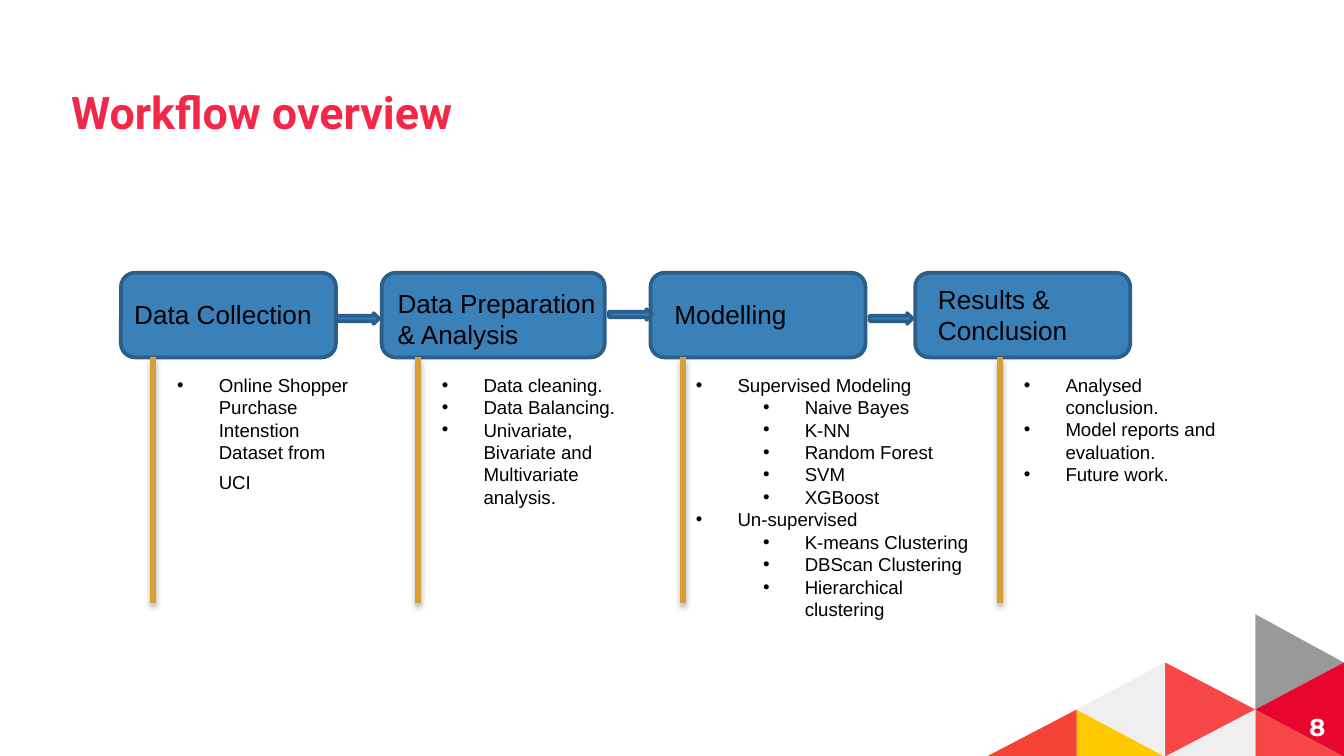
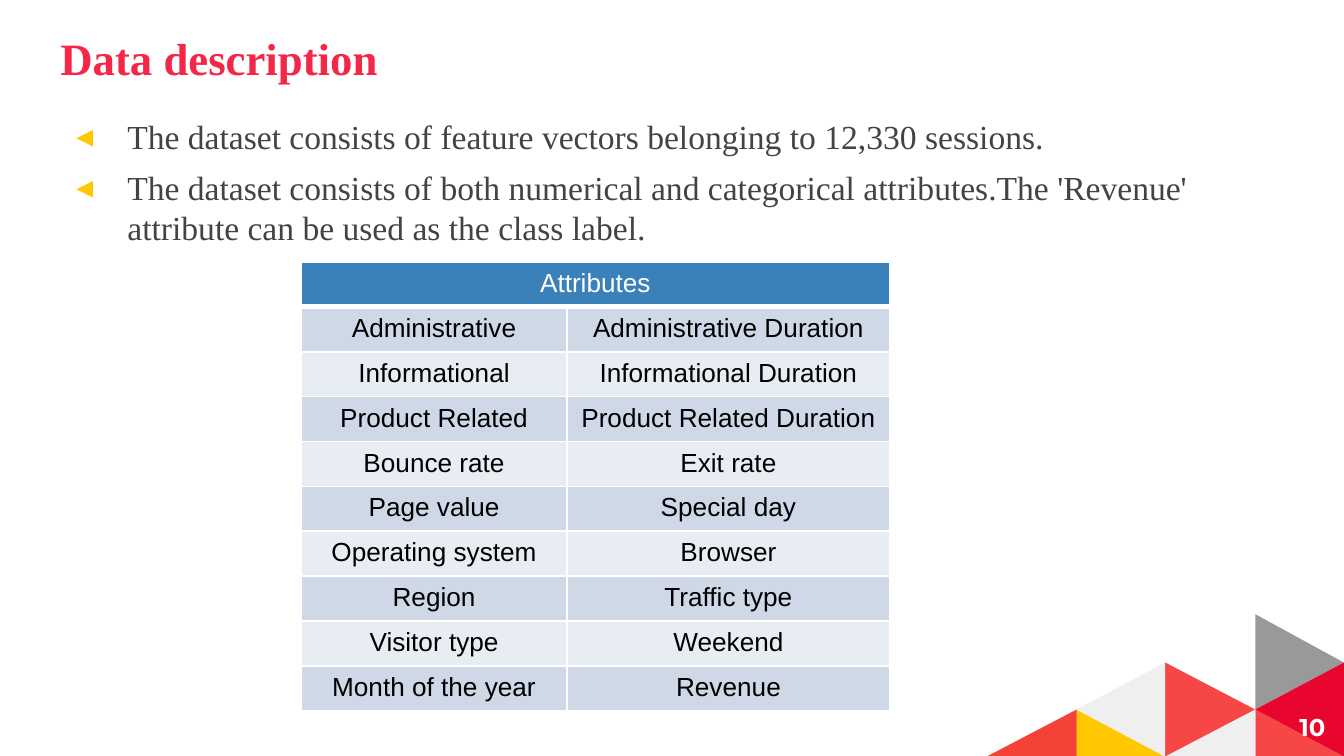
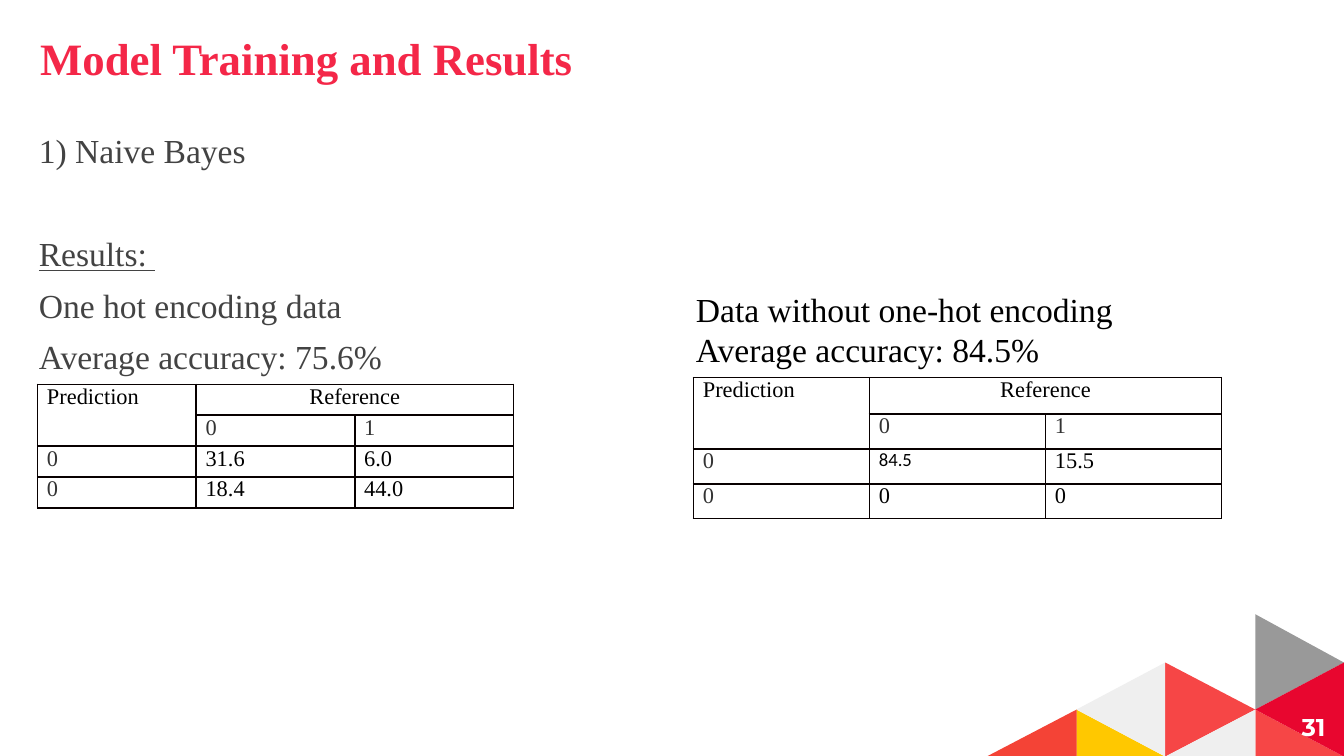
import lxml.etree
import pptx
import pptx.dml.color
import pptx.enum.shapes
import pptx.enum.text
import pptx.oxml.ns
import pptx.util

Inches = pptx.util.Inches
Pt = pptx.util.Pt
RGBColor = pptx.dml.color.RGBColor
SHAPE = pptx.enum.shapes.MSO_SHAPE
ALIGN = pptx.enum.text.PP_ALIGN
qn = pptx.oxml.ns.qn

WHITE = RGBColor(0xFF, 0xFF, 0xFF)
BLACK = RGBColor(0, 0, 0)
INK = RGBColor(0x43, 0x43, 0x43)
LABEL_INK = RGBColor(0x33, 0x33, 0x33)
RULE_INK = RGBColor(0x08, 0, 0)
TITLE_RED = RGBColor(0xF4, 0x27, 0x48)
BLUE = RGBColor(0x3A, 0x81, 0xBA)
DARK_BLUE = RGBColor(0x2B, 0x5F, 0x8A)
OCHRE = RGBColor(0xD8, 0x9F, 0x39)
YELLOW = RGBColor(0xFF, 0xC8, 0x00)
GREY = RGBColor(0x99, 0x99, 0x99)
PALE_GREY = RGBColor(0xEF, 0xEF, 0xEF)
CORAL = RGBColor(0xF6, 0x46, 0x46)
CRIMSON = RGBColor(0xE8, 0x06, 0x2F)
ORANGE_RED = RGBColor(0xF4, 0x43, 0x36)
BAND_DARK = RGBColor(0xCE, 0xD8, 0xE7)
BAND_LIGHT = RGBColor(0xE8, 0xED, 0xF3)

SANS, SERIF = "Arial", "Times New Roman"

MOSAIC_X = (7.34, 8.01, 8.67, 9.34, 10)
MOSAIC_Y = (4.57, 4.93, 5.28, 5.63)
MOSAIC = (
    (GREY, (3, 0), (3, 2), (4, 1)),
    (YELLOW, (1, 2), (1, 3), (2, 3)),
    (CORAL, (2, 1), (2, 3), (3, 2)),
    (CORAL, (3, 2), (3, 3), (4, 3)),
    (PALE_GREY, (2, 1), (1, 2), (2, 3)),
    (PALE_GREY, (3, 2), (2, 3), (3, 3)),
    (CRIMSON, (4, 1), (3, 2), (4, 3)),
    (ORANGE_RED, (1, 2), (0, 3), (1, 3)),
)

STAGES = (
    dict(
        card=(0.9, 1.6), label=(0.9, 2.17, 1.67, 0.34), title="Data Collection",
        rule=1.14, notes=(1.22, 1.52, 1.01),
        items=[(0, "Online Shopper Purchase Intenstion \nDataset from UCI")],
    ),
    dict(
        card=(2.84, 1.66), label=(2.86, 2.09, 1.77, 0.57), title="Data Preparation & Analysis",
        rule=3.11, notes=(3.19, 1.73, 1.28),
        items=[
            (0, "Data cleaning."),
            (0, "Data Balancing."),
            (0, "Univariate, Bivariate and Multivariate analysis."),
        ],
    ),
    dict(
        card=(4.84, 1.6), label=(4.92, 2.17, 1.67, 0.34), title="Modelling",
        rule=5.08, notes=(5.08, 2.34, 2.12),
        items=[
            (0, "Supervised Modeling"),
            (1, "Naive Bayes"),
            (1, "K-NN"),
            (1, "Random Forest"),
            (1, "SVM"),
            (1, "XGBoost"),
            (0, "Un-supervised"),
            (1, "K-means Clustering"),
            (1, "DBScan Clustering"),
            (1, "Hierarchical clustering"),
        ],
    ),
    dict(
        card=(6.81, 1.6), label=(6.88, 2.06, 1.45, 0.57), title="Results & Conclusion",
        rule=7.44, notes=(7.52, 1.76, 0.94),
        items=[
            (0, "Analysed conclusion."),
            (0, "Model reports and evaluation."),
            (0, "Future work."),
        ],
    ),
)
STAGE_ARROWS = ((2.5, 2.33), (4.53, 2.3), (6.47, 2.33))

ATTRIBUTES = (
    ("Administrative", "Administrative Duration"),
    ("Informational", "Informational Duration"),
    ("Product Related", "Product Related Duration"),
    ("Bounce rate", "Exit rate"),
    ("Page value", "Special day"),
    ("Operating system", "Browser"),
    ("Region", "Traffic type"),
    ("Visitor type", "Weekend"),
    ("Month of the year", "Revenue"),
)


class Deck:
    """Holds the shared style and draws elements on the current slide."""

    def __init__(self):
        self.show = pptx.Presentation()
        self.show.slide_width = Inches(10)
        self.show.slide_height = Inches(10) * 9 // 16
        self.slide = None

    def page(self, number, title, left, top, font):
        self.slide = self.show.slides.add_slide(self.show.slide_layouts[6])
        for color, *corners in MOSAIC:
            self.triangle(color, corners)
        heading = self.box(left, top, 7.91, 0.73, 0.1)
        self.paragraph(heading, title, 24, font, TITLE_RED, bold=True)
        footer = self.box(9.36, 5.19, 0.6, 0.43, 0.1)
        footer.vertical_anchor = pptx.enum.text.MSO_ANCHOR.MIDDLE
        self.paragraph(footer, number, 13, "Montserrat", WHITE, bold=True, align=ALIGN.RIGHT)

    def paint(self, shape, fill, line=None):
        shape.shadow.inherit = False
        shape.fill.solid()
        shape.fill.fore_color.rgb = fill
        if line is None:
            shape.line.fill.background()
        else:
            shape.line.color.rgb = line
            shape.line.width = Pt(2)

    def triangle(self, color, corners):
        first, *others = [(Inches(MOSAIC_X[col]), Inches(MOSAIC_Y[row])) for col, row in corners]
        outline = self.slide.shapes.build_freeform(*first)
        outline.add_line_segments(others, close=True)
        self.paint(outline.convert_to_shape(), color)

    def shape(self, kind, left, top, width, height):
        place = map(Inches, (left, top, width, height))
        self.paint(self.slide.shapes.add_shape(kind, *place), BLUE, DARK_BLUE)

    def rule(self, x, top, bottom):
        line = self.slide.shapes.add_connector(
            pptx.enum.shapes.MSO_CONNECTOR.STRAIGHT, *map(Inches, (x, top, x, bottom)))
        line.line.color.rgb = OCHRE
        line.line.width = Pt(3)
        effects = lxml.etree.SubElement(line._element.spPr, qn("a:effectLst"))
        shadow = lxml.etree.SubElement(
            effects, qn("a:outerShdw"), blurRad="40000", dist="23000", dir="5400000", rotWithShape="0")
        tint = lxml.etree.SubElement(shadow, qn("a:srgbClr"), val=str(BLACK))
        lxml.etree.SubElement(tint, qn("a:alpha"), val="35000")

    def box(self, left, top, width, height, inset=0.05):
        frame = self.slide.shapes.add_textbox(*map(Inches, (left, top, width, height))).text_frame
        frame.word_wrap = True
        frame.margin_top = frame.margin_bottom = Inches(inset)
        return frame

    def run(self, paragraph, text, size, font, color, bold=False, underline=False):
        run = paragraph.add_run()
        run.text = text
        run.font.size, run.font.name = Pt(size), font
        run.font.color.rgb = color
        run.font.bold, run.font.underline = bold, underline

    def paragraph(self, frame, text, size, font, color, align=ALIGN.LEFT, before=0,
                  bullet=None, indent=(0, 0), level=0, **emphasis):
        paragraph = frame.paragraphs[0]
        if paragraph.runs:
            paragraph = frame.add_paragraph()
        paragraph.alignment, paragraph.level = align, level
        paragraph.space_before = Pt(before)
        props = paragraph._p.get_or_add_pPr()
        props.set("marL", str(Inches(indent[0])))
        props.set("indent", str(Inches(indent[1])))
        if bullet:
            mark, mark_color = bullet
            tint = lxml.etree.SubElement(props, qn("a:buClr"))
            lxml.etree.SubElement(tint, qn("a:srgbClr"), val=str(mark_color))
            lxml.etree.SubElement(props, qn("a:buFont"), typeface=SANS)
            lxml.etree.SubElement(props, qn("a:buChar"), char=mark)
        for index, line in enumerate(text.split("\n")):
            if index:
                paragraph.add_line_break()
            self.run(paragraph, line, size, font, color, **emphasis)
        return paragraph

    def table(self, left, top, widths, heights, total):
        place = map(Inches, (left, top, sum(widths), total))
        frame = self.slide.shapes.add_table(len(heights), len(widths), *place)
        table = frame.table
        table.first_row = table.horz_banding = False
        for column, width in zip(table.columns, widths):
            column.width = Inches(width)
        for row, height in zip(table.rows, heights):
            row.height = Inches(height)
        frame.height = Inches(total)
        return table

    def border(self, cell, color, **widths):
        props = cell._tc.get_or_add_tcPr()
        for side in "LRTB":
            line = lxml.etree.SubElement(props, qn("a:ln" + side), w=str(Pt(widths.get(side, 1))))
            solid = lxml.etree.SubElement(line, qn("a:solidFill"))
            lxml.etree.SubElement(solid, qn("a:srgbClr"), val=str(color))

    def attribute_table(self, left, top):
        table = self.table(left, top, (1.98, 2.4), [0] + [0.33] * len(ATTRIBUTES), 3.33)
        table.cell(0, 0).merge(table.cell(0, 1))
        for r, names in enumerate((("Attributes", ""),) + ATTRIBUTES):
            fill = BLUE if r == 0 else (BAND_LIGHT, BAND_DARK)[r % 2]
            for c, name in enumerate(names):
                cell = table.cell(r, c)
                self.border(cell, WHITE, T=3 if r == 1 else 1, B=3 if r == 0 else 1)
                cell.fill.solid()
                cell.fill.fore_color.rgb = fill
                if name:
                    self.paragraph(cell.text_frame, name, 14, SANS, BLACK if r else WHITE,
                                   align=ALIGN.CENTER)

    def confusion_table(self, left, top, width, heights, total, scores, small=None):
        table = self.table(left, top, [width] * 3, heights, total)
        table.cell(0, 0).merge(table.cell(1, 0))
        table.cell(0, 1).merge(table.cell(0, 2))
        rows = [("Prediction", "Reference", ""), ("", "0", "1")] + [("0", *pair) for pair in scores]
        for r, texts in enumerate(rows):
            for c, text in enumerate(texts):
                cell = table.cell(r, c)
                self.border(cell, RULE_INK)
                cell.fill.background()
                cell.margin_left = cell.margin_right = Inches(0.07)
                cell.margin_top = cell.margin_bottom = 0
                if text:
                    size, font = (10, "Calibri") if (r, c) == small else (12, SERIF)
                    is_label = r == 1 or (r > 1 and c == 0)
                    self.paragraph(cell.text_frame, text, size, font, LABEL_INK if is_label else BLACK,
                                   align=ALIGN.CENTER if text == "Reference" else ALIGN.LEFT)


def workflow(deck):
    deck.page("8", "Workflow overview", 0.43, 0.53, "Roboto")
    for stage in STAGES:
        left, width = stage["card"]
        deck.shape(SHAPE.ROUNDED_RECTANGLE, left, 2.03, width, 0.63)
        deck.paragraph(deck.box(*stage["label"]), stage["title"], 14, SANS, BLACK)
    for left, top in STAGE_ARROWS:
        deck.shape(SHAPE.RIGHT_ARROW, left, top, 0.32, 0.08)
    for stage in STAGES:
        deck.rule(stage["rule"], 2.66, 4.49)
    for stage in STAGES:
        left, width, height = stage["notes"]
        notes = deck.box(left, 2.73, width, height)
        for level, item in stage["items"]:
            last = deck.paragraph(notes, item, 10, SANS, BLACK, bullet=("•", BLACK),
                                  indent=(0.31 + 0.5 * level, -0.31), level=level)
        if stage is STAGES[0]:
            deck.run(last, " ", 14, SANS, BLACK)


def description(deck):
    deck.page("10", "Data description", 0.35, 0.13, SERIF)
    facts = deck.box(0.35, 0.76, 9.27, 4.44, 0.1)
    for fact in (
        "The dataset consists of feature vectors belonging to 12,330 sessions.",
        "The dataset consists of both numerical and categorical attributes."
        "The 'Revenue' attribute can be used as the class label.",
    ):
        deck.paragraph(facts, fact, 18, SERIF, INK, before=6, bullet=("◂", YELLOW), indent=(0.5, -0.38))
    deck.attribute_table(2.24, 1.95)


def results(deck):
    deck.page("31", "Model Training and Results", 0.2, 0.13, SERIF)
    encoded = deck.box(0.07, 0.87, 9.15, 3.9, 0.1)
    for text, before, underline in (
        ("1) Naive Bayes", 6, False),
        ("Results: ", 33.5, True),
        ("One hot encoding data", 6, False),
        ("Average accuracy: 75.6%", 6, False),
    ):
        deck.paragraph(encoded, text, 18, SERIF, INK, before=before, indent=(0.12, 0), underline=underline)
    deck.confusion_table(0.28, 2.86, 1.18, [0.23] * 4, 0.91, (("31.6", "6.0"), ("18.4", "44.0")))
    unencoded = deck.box(5.08, 2.1, 3.58, 0.71)
    for text in ("Data without one-hot encoding", "Average accuracy: 84.5%"):
        deck.paragraph(unencoded, text, 18, SERIF, BLACK)
    deck.confusion_table(5.16, 2.81, 1.31, [0.27] + [0.26] * 3, 1.04,
                         (("84.5", "15.5"), ("0", "0")), small=(2, 1))


def main():
    deck = Deck()
    workflow(deck)
    description(deck)
    results(deck)
    deck.show.save("out.pptx")


if __name__ == "__main__":
    main()
